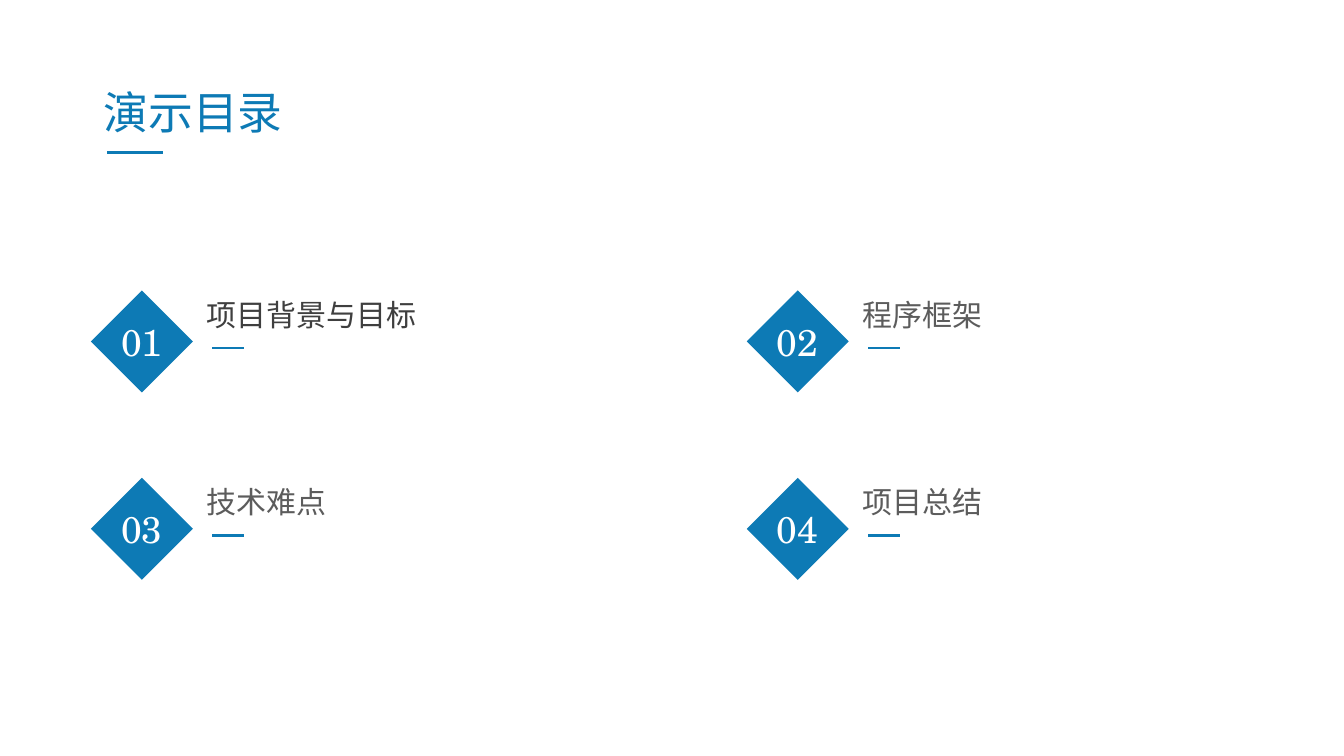
from dataclasses import dataclass

import lxml.etree
import pptx
import pptx.dml.color
import pptx.enum.shapes
import pptx.enum.text
import pptx.oxml.ns
import pptx.presentation
import pptx.shapes.base
import pptx.slide
import pptx.util
from pptx.util import Cm

BLUE = pptx.dml.color.RGBColor(0x0D, 0x7A, 0xB5)
DARK = pptx.dml.color.RGBColor(0x3F, 0x3F, 0x3F)
GREY = pptx.dml.color.RGBColor(0x5C, 0x5C, 0x5C)
WHITE = pptx.dml.color.RGBColor(0xFF, 0xFF, 0xFF)
SERIF = "TeX Gyre Schola"
SANS = "Lato"

LEFT, TOP = Cm(2.29), Cm(7.32)
COL, ROW = Cm(16.53), Cm(4.72)
SIDE = Cm(2.57)


@dataclass(frozen=True)
class Topic:
    name: str
    width: float
    font: str = SERIF
    color: pptx.dml.color.RGBColor = GREY


TOPICS = [
    Topic("项目背景与目标", 5.79, SANS, DARK),
    Topic("程序框架", 3.53),
    Topic("技术难点", 3.53),
    Topic("项目总结", 3.53),
]


def write(
    shape: pptx.shapes.base.BaseShape,
    text: str,
    size: float,
    color: pptx.dml.color.RGBColor,
    font: str = SERIF,
) -> None:
    frame = shape.text_frame
    frame.word_wrap = False
    frame.text = text
    run = frame.paragraphs[0].runs[0]
    run.font.size = pptx.util.Pt(size)
    run.font.name = font
    run.font.color.rgb = color


def label(
    slide: pptx.slide.Slide,
    x: int,
    y: int,
    width: int,
    height: int,
    text: str,
    size: float,
    color: pptx.dml.color.RGBColor,
    font: str = SERIF,
) -> None:
    box = slide.shapes.add_textbox(x, y, width, height)
    write(box, text, size, color, font)
    box.text_frame.auto_size = pptx.enum.text.MSO_AUTO_SIZE.SHAPE_TO_FIT_TEXT


def dash(slide: pptx.slide.Slide, x: int, y: int, width: int) -> None:
    """Draw a short level rule."""
    line = slide.shapes.add_connector(
        pptx.enum.shapes.MSO_CONNECTOR.STRAIGHT, x, y, x + width, y
    )
    line.line.color.rgb = BLUE
    line.line.width = pptx.util.Pt(2)
    props = line._element.spPr
    lxml.etree.SubElement(props, pptx.oxml.ns.qn("a:effectLst"))


def badge(slide: pptx.slide.Slide, x: int, y: int, text: str) -> None:
    """Draw a numbered diamond."""
    shape = slide.shapes.add_shape(
        pptx.enum.shapes.MSO_SHAPE.DIAMOND, x, y, SIDE, SIDE
    )
    shape.shadow.inherit = False
    shape.fill.solid()
    shape.fill.fore_color.rgb = BLUE
    shape.line.fill.background()
    write(shape, text, 26.6, WHITE)
    shape.text_frame.vertical_anchor = pptx.enum.text.MSO_ANCHOR.MIDDLE
    shape.text_frame.paragraphs[0].alignment = pptx.enum.text.PP_ALIGN.CENTER


def main() -> None:
    deck = pptx.Presentation()
    deck.slide_width, deck.slide_height = Cm(33.87), Cm(19.05)
    slide = deck.slides.add_slide(deck.slide_layouts[6])

    label(slide, Cm(2.36), Cm(2.01), Cm(5.08), Cm(1.62), "演示目录", 32, BLUE)
    dash(slide, Cm(2.7), Cm(3.85), Cm(1.42))

    for i, topic in enumerate(TOPICS):
        row, col = divmod(i, 2)
        x, y = LEFT + col * COL, TOP + row * ROW
        badge(slide, x, y, f"{i + 1:02}")
        label(
            slide, x + Cm(2.67), y + Cm(0.02), Cm(topic.width), Cm(1.17),
            topic.name, 21.4, topic.color, topic.font,
        )
        dash(slide, x + Cm(3.06), y + Cm(1.45), Cm(0.8))

    deck.save("out.pptx")


if __name__ == "__main__":
    main()
